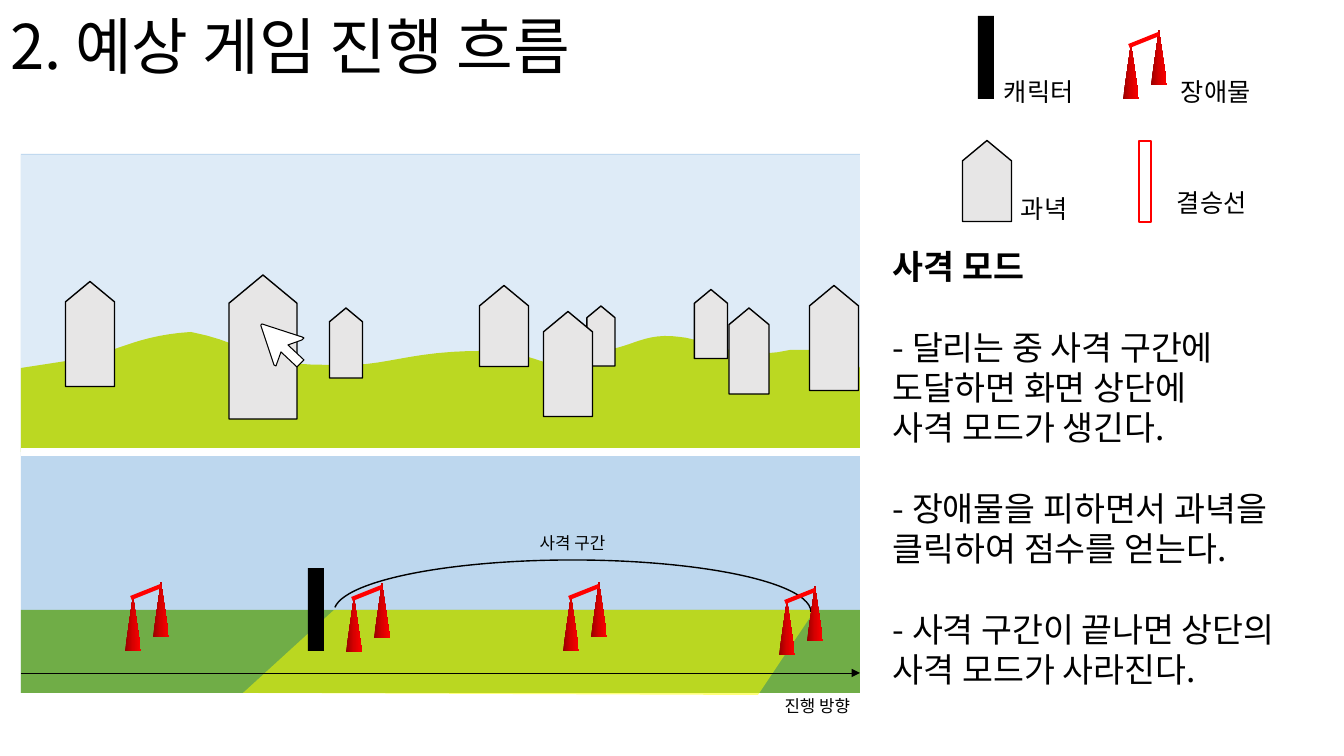
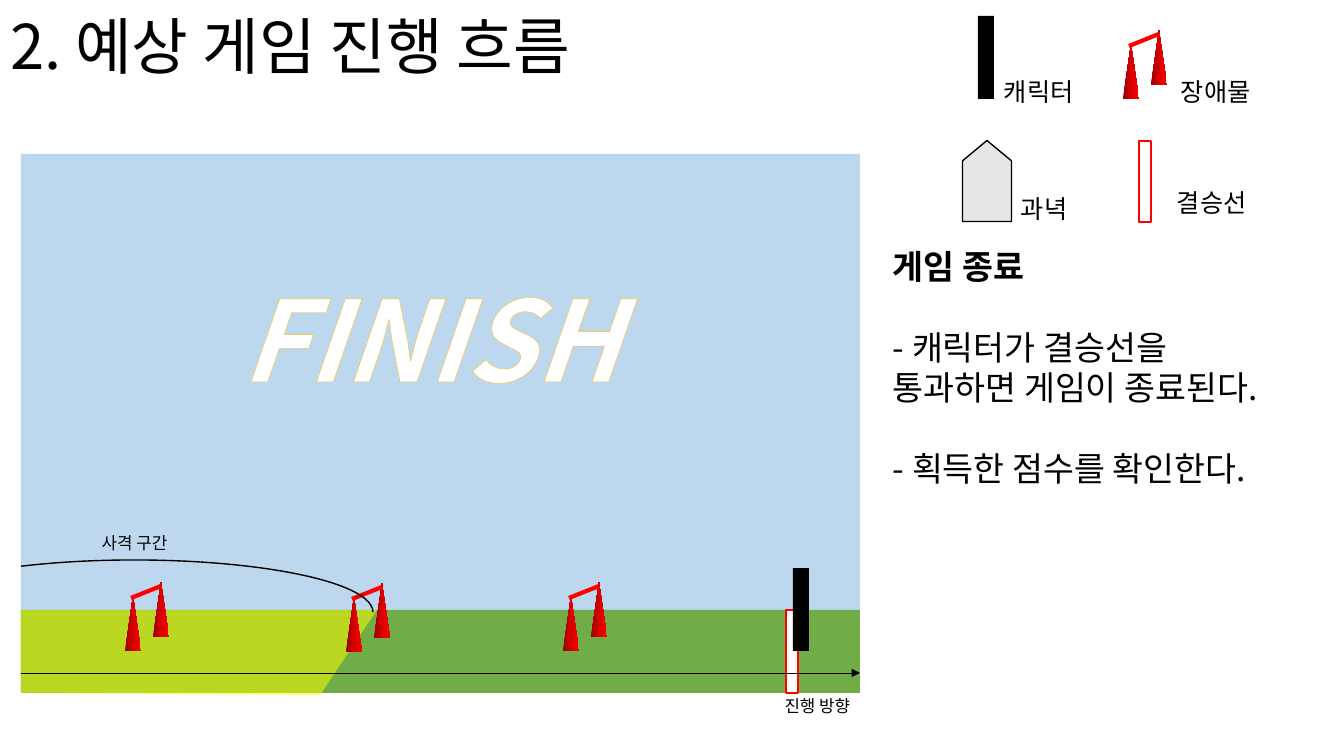
import math
import pptx
import pptx.util
import pptx.dml.color
import pptx.enum.shapes
import pptx.enum.text
import pptx.oxml.ns
from copy import deepcopy
from lxml import etree

PX = 914400 / 100.8
FONT = "Noto Sans CJK KR"
BLACK, WHITE, RED = "000000", "FFFFFF", "FF0000"
SKY, PALE_SKY, GROUND, HILL = "BDD7EE", "DEEBF7", "70AD47", "BBD822"
ZONE, TARGET, GOLD = "FFFF00", "E7E6E6", "FFC000"
OBSTACLE_STOPS = [(0, "970000"), (0.5, "D70000"), (1, RED)]
FIELD = (21, 154, 839, 539)
HORIZON = 456  # from the top of the field
SHAPE = pptx.enum.shapes.MSO_SHAPE
ALIGN = pptx.enum.text.PP_ALIGN
ANCHOR = pptx.enum.text.MSO_ANCHOR
qn = pptx.oxml.ns.qn


# Basic helpers
def px(n):
    return pptx.util.Emu(round(n * PX))


def rgb(color):
    return pptx.dml.color.RGBColor.from_string(color)


def paint(sp, fill=None, line=None, width=1):
    sp.shadow.inherit = False
    if fill:
        sp.fill.solid()
        sp.fill.fore_color.rgb = rgb(fill)
    else:
        sp.fill.background()
    if line:
        sp.line.color.rgb = rgb(line)
        sp.line.width = pptx.util.Pt(width)
    else:
        sp.line.fill.background()
    return sp


def shape(s, kind, x, y, w, h, fill=None, line=None, width=1):
    sp = s.shapes.add_shape(kind, px(x), px(y), px(w), px(h))
    return paint(sp, fill, line, width)


def outline(s, points, fill, line=None, width=1):
    points = [(px(x), px(y)) for x, y in points]
    builder = s.shapes.build_freeform(*points[0], scale=1.0)
    builder.add_line_segments(points[1:], close=True)
    return paint(builder.convert_to_shape(), fill, line, width)


def line(s, x1, y1, x2, y2, color, width, arrow=False):
    c = s.shapes.add_connector(pptx.enum.shapes.MSO_CONNECTOR.STRAIGHT,
                               px(x1), px(y1), px(x2), px(y2))
    c.line.color.rgb = rgb(color)
    c.line.width = pptx.util.Pt(width)
    if arrow:
        etree.SubElement(c.line._get_or_add_ln(), qn("a:tailEnd"), type="triangle")
    etree.SubElement(c._element.spPr, qn("a:effectLst"))


def style(p, size, color=BLACK, bold=False, italic=False):
    for r in p.runs:
        f = r.font
        f.name, f.size, f.bold, f.italic = FONT, pptx.util.Pt(size), bold, italic
        f.color.rgb = rgb(color)
        east_asian = etree.Element(qn("a:ea"), typeface=FONT)
        r._r.rPr.find(qn("a:latin")).addnext(east_asian)


def label(s, text, x, y, w, h, size, align=ALIGN.LEFT, **look):
    tf = s.shapes.add_textbox(px(x), px(y), px(w), px(h)).text_frame
    tf.word_wrap = True
    tf.vertical_anchor = ANCHOR.MIDDLE
    p = tf.paragraphs[0]
    p.text = text
    p.alignment = align
    style(p, size, **look)
    return tf


def bezier(a, b, c, d, steps=12):
    for i in range(1, steps + 1):
        t = i / steps
        u = 1 - t
        yield tuple(u**3 * m + 3 * u * u * t * n + 3 * u * t * t * o + t**3 * q
                    for m, n, o, q in zip(a, b, c, d))


# Game pieces
def character(s, x, y):
    shape(s, SHAPE.RECTANGLE, x, y, 16, 83, BLACK)


def finish_line(s, x, y, h):
    shape(s, SHAPE.RECTANGLE, x, y, 12, h, WHITE, RED)


def obstacle(s, x, y):
    for dx, dy in ((0, 14), (28, 0)):
        sp = shape(s, SHAPE.ISOSCELES_TRIANGLE, x + dx, y + dy, 16, 55)
        sp.fill.gradient()
        sp.fill.gradient_angle = 0
        stops = sp._element.spPr.find(qn("a:gradFill")).find(qn("a:gsLst"))
        stops.insert(1, deepcopy(stops[0]))
        for stop, (position, color) in zip(sp.fill.gradient_stops, OBSTACLE_STOPS):
            stop.position = position
            stop.color.rgb = rgb(color)
    line(s, x + 36, y + 4, x + 6, y + 16, RED, 3)


def target(s, cx, cy, w, h):
    sp = shape(s, SHAPE.PENTAGON, cx - h / 2, cy - w / 2, h, w, TARGET, BLACK)
    sp.adjustments[0] = 0.415
    sp.rotation = 270


def cursor(s, x, y):
    points = [(43, 36), (27, 21), (41, 16), (43, 14), (41, 13), (1, 0), (0, 1),
              (0, 2), (13, 41), (15, 42), (20, 28), (36, 43)]
    outline(s, [(x + dx, y + dy) for dx, dy in points], WHITE, BLACK, 0.75)


# Regions
def title(s, text):
    sp = s.shapes.title
    sp.left, sp.top, sp.width, sp.height = px(0), px(-23), px(1159), px(146)
    tf = sp.text_frame
    tf.text = text
    tf.auto_size = pptx.enum.text.MSO_AUTO_SIZE.NONE
    tf.vertical_anchor = ANCHOR.MIDDLE
    p = tf.paragraphs[0]
    p.alignment = ALIGN.LEFT
    p.line_spacing = 0.9
    style(p, 44)


def legend(s, x, y):
    character(s, x + 18, y)
    obstacle(s, x + 163, y + 14)
    target(s, x + 27, y + 165, 49, 81)
    finish_line(s, x + 179, y + 125, 81)
    for text, dx, dy in (("캐릭터", 34, 55), ("장애물", 211, 55),
                         ("과녁", 51, 172), ("결승선", 207, 166)):
        label(s, text, x + dx, y + dy, 98, 40, 18)


def field(s, box, shift):
    """Sky, ground and the part of the shooting zone that is in view."""
    x, y, w, h = box
    shape(s, SHAPE.RECTANGLE, x, y, w, h, SKY)
    shape(s, SHAPE.RECTANGLE, x, y + HORIZON, w, h - HORIZON, GROUND)
    corners = [(313, HORIZON), (794, HORIZON), (737, h + 2), (222, h)]
    zone = outline(s, [(x + max(dx - shift, 0), y + dy) for dx, dy in corners], ZONE)
    color = zone._element.spPr.find(qn("a:solidFill"))[0]
    etree.SubElement(color, qn("a:alpha"), val="52000")


def direction(s, box):
    x, y, w, h = box
    line(s, x, y + 519, x + w, y + 519, BLACK, 0.5, arrow=True)
    label(s, "진행 방향", x + w - 221, y + h - 2, 221, 30, 12, ALIGN.RIGHT)


def zone_arc(s, box, shift):
    """Arc over the shooting zone, starting at the left edge of the field."""
    x, y, w, h = box
    left, rx, ry = x + 313 - shift, 238.5, 52
    sp = shape(s, SHAPE.ARC, left, y + 406, 2 * rx, 2 * ry, line=BLACK)
    start = 181.1
    if left < x:
        reach = left + rx - x
        start = 180 + math.degrees(math.atan2(ry * math.sqrt(1 - (reach / rx)**2), reach))
    sp.adjustments[0] = round(start * 0.6, 2)  # 60000ths of a degree over 100000
    sp.adjustments[1] = 0
    label(s, "사격 구간", x + 441 - shift, y + 374, 221, 30, 12, ALIGN.CENTER)


def shooting_range(s, box):
    x, y, w, h = box
    shape(s, SHAPE.RECTANGLE, x, y, w, h, PALE_SKY)
    ridge = [(0, 213), (65, 203)]
    curves = [((100, 194), (121, 180), (170, 177)),
              ((240, 191), (219, 210), (311, 210)),
              ((364, 213), (387, 195), (467, 196)),
              ((505, 196), (524, 211), (543, 211)),
              ((564, 211), (565, 199), (584, 195)),
              ((612, 192), (624, 177), (659, 182)),
              ((684, 184), (718, 207), (769, 195)),
              ((818, 194), (828, 196), (839, 213))]
    for curve in curves:
        ridge += bezier(ridge[-1], *curve)
    ridge += [(w, 297), (0, 297)]
    outline(s, [(x + dx, y + dy) for dx, dy in ridge], HILL)
    line(s, x, y + 297, x + w, y + 297, WHITE, 6)
    for cx, cy, tw, th in ((242, 192, 68, 144), (69, 179, 49, 105), (325, 188, 33, 70),
                           (690, 169, 33, 69), (728, 196, 40, 86), (580, 181, 28, 60),
                           (547, 209, 49, 105), (813, 183, 49, 105), (483, 171, 49, 81)):
        target(s, x + cx, y + cy, tw, th)
    cursor(s, x + 240, y + 169)


def finish_text(s, x, y, w, h):
    tf = label(s, "FINISH", x, y, w, h, 80, color=WHITE, bold=True, italic=True)
    tf.word_wrap = False
    ln = etree.Element(qn("a:ln"), w=str(pptx.util.Pt(2.25)))
    fill = etree.SubElement(ln, qn("a:solidFill"))
    etree.SubElement(fill, qn("a:srgbClr"), val=GOLD)
    tf.paragraphs[0].runs[0]._r.rPr.insert(0, ln)


def description(s, x, y, w, h, heading, points):
    """Heading, then points; each point is a list of lines."""
    tf = s.shapes.add_textbox(px(x), px(y), px(w), px(h)).text_frame
    tf.word_wrap = True
    tf.text = heading
    style(tf.paragraphs[0], 24, bold=True)
    for lines in points:
        for i, text in enumerate(lines):
            p = tf.add_paragraph()
            p.text = text
            p.space_before = pptx.util.Pt(0 if i else 28.8)
            style(p, 24)
    for p in tf.paragraphs:
        p.line_spacing = pptx.util.Pt(28.8)


# Slides
def game_slide(prs, shift):
    s = prs.slides.add_slide(prs.slide_layouts[5])
    title(s, "2. 예상 게임 진행 흐름")
    field(s, FIELD, shift)
    for x, y in ((125, 582), (346, 583), (563, 582)):
        obstacle(s, x, y)
    legend(s, 960, 16)
    zone_arc(s, FIELD, shift)
    return s


def shooting_slide(prs):
    s = game_slide(prs, 0)
    character(s, 308, 568)
    direction(s, FIELD)
    shooting_range(s, (21, 155, 839, 255))
    obstacle(s, 779, 586)
    description(s, 883, 241, 461, 458, "사격 모드", [
        ["- 달리는 중 사격 구간에 ", "도달하면 화면 상단에 ", "사격 모드가 생긴다."],
        ["- 장애물을 피하면서 과녁을 클릭하여 점수를 얻는다."],
        ["- 사격 구간이 끝나면 상단의 사격 모드가 사라진다."]])


def finish_slide(prs):
    s = game_slide(prs, 438)
    finish_line(s, 786, 610, 83)
    direction(s, FIELD)
    character(s, 793, 568)
    finish_text(s, 231, 264, 418, 146)
    description(s, 883, 241, 418, 254, "게임 종료", [
        ["- 캐릭터가 결승선을 통과하면 게임이 종료된다."],
        ["- 획득한 점수를 확인한다."]])


prs = pptx.Presentation()
prs.slide_width, prs.slide_height = px(1344), px(756)
shooting_slide(prs)
finish_slide(prs)
prs.save("out.pptx")
